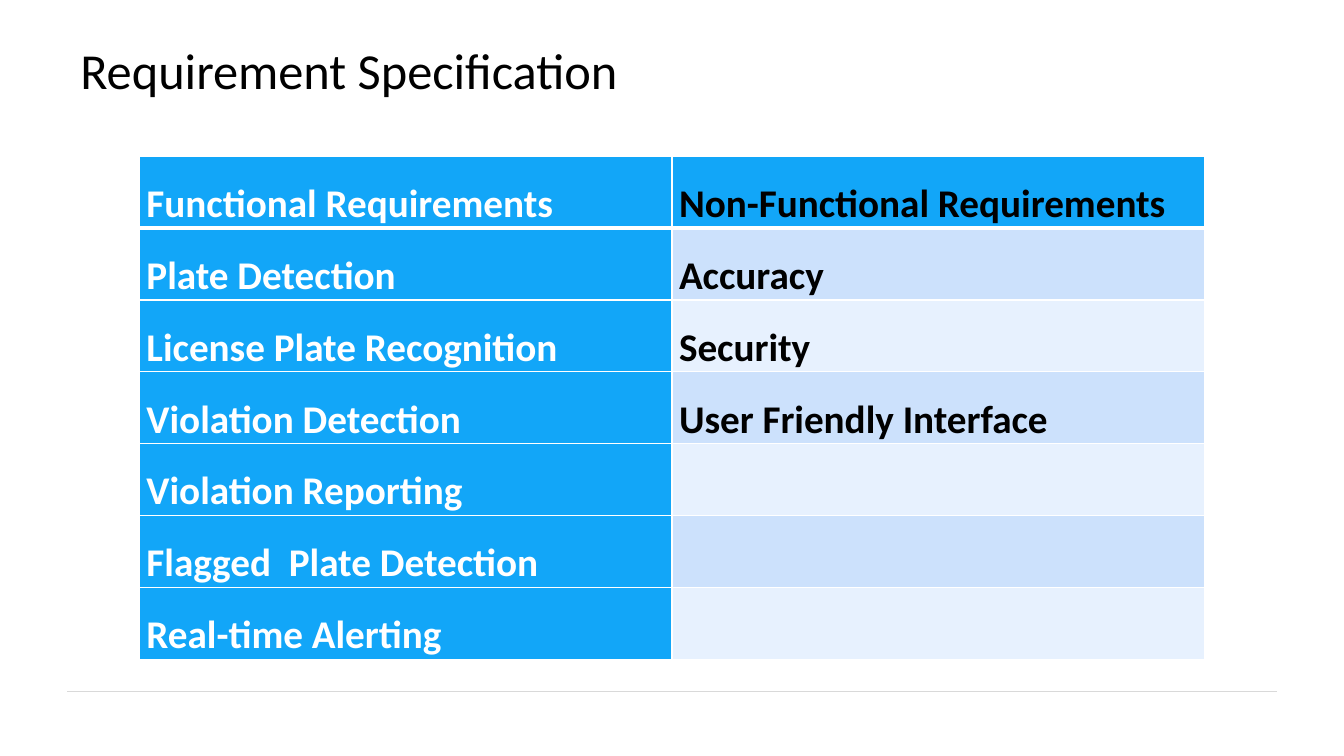
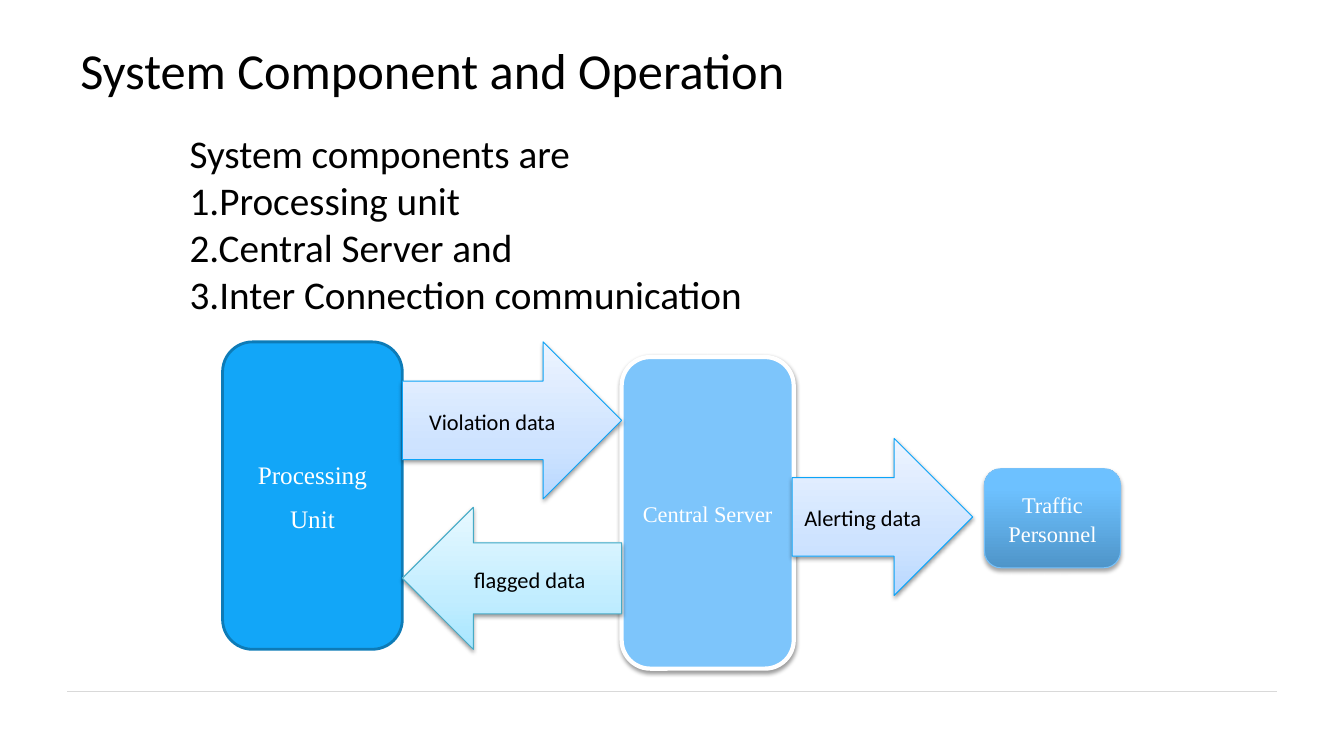
from dataclasses import dataclass

from lxml.etree import SubElement
from pptx import Presentation
from pptx.dml.color import RGBColor
from pptx.enum.shapes import MSO_CONNECTOR, MSO_SHAPE
from pptx.enum.text import MSO_ANCHOR, MSO_AUTO_SIZE, PP_ALIGN
from pptx.oxml.ns import qn
from pptx.util import Inches, Pt


@dataclass(frozen=True)
class Theme:
    # Fonts and type sizes
    sans: str = "Calibri"
    serif: str = "Times New Roman"
    title_size: int = 36
    body_size: int = 28
    unit_size: int = 18
    label_size: int = 16
    # Colours
    black: str = "000000"
    white: str = "FFFFFF"
    rule: str = "D9D9D9"
    accent: str = "12A6F8"
    accent_edge: str = "0D7BB7"
    server: str = "7DC5FB"
    bands: tuple = ("CCE1FC", "E7F1FE")
    # Gradients run from the bottom up: (position in percent, colour)
    personnel: tuple = ((0, "4F95C9"), (80, "6DC1FF"), (100, "6FC1FF"))
    personnel_edge: str = "77C1F9"
    blue_arrow: tuple = ((0, "B9D8FF"), (35, "CEE3FF"), (100, "EDF4FF"))
    blue_edge: str = "0CA4F8"
    cyan_arrow: tuple = ((0, "A7E6FF"), (35, "C1EDFF"), (100, "E7F8FF"))
    cyan_edge: str = "46AAC5"


THEME = Theme()

# Grid: 160 columns by 90 rows of square cells
COLUMNS, ROWS = 160, 90
CELL = Inches(7.5) / ROWS
MARGIN = 8

REQUIREMENTS = (
    ("Functional Requirements", "Non-Functional Requirements"),
    ("Plate Detection", "Accuracy"),
    ("License Plate Recognition", "Security"),
    ("Violation Detection", "User Friendly Interface"),
    ("Violation Reporting", ""),
    ("Flagged  Plate Detection", ""),
    ("Real-time Alerting", ""),
)

COMPONENTS = (
    "System components are",
    "1.Processing unit",
    "2.Central Server and",
    "3.Inter Connection communication",
)


def grid(*cells):
    return [round(cell * CELL) for cell in cells]


def rgb(value):
    return RGBColor.from_string(value)


# Text

def add_run(paragraph, text, size, colour, font=THEME.sans, bold=False):
    run = paragraph.add_run()
    run.text = text
    run.font.name = font
    run.font.size = Pt(size)
    run.font.bold = bold
    run.font.color.rgb = rgb(colour)


def write_lines(frame, lines, size, colour, font=THEME.sans, align=PP_ALIGN.LEFT,
                spacing=1.0, after=0, bold=False):
    for index, line in enumerate(lines):
        paragraph = frame.add_paragraph() if index else frame.paragraphs[0]
        paragraph.alignment = align
        paragraph.line_spacing = spacing
        paragraph.space_before = Pt(0)
        paragraph.space_after = Pt(after)
        add_run(paragraph, line, size, colour, font, bold)


# Fills, shadows and borders

def add_colour(parent, value):
    return SubElement(parent, qn("a:srgbClr"), val=value)


def fill_gradient(shape, stops):
    shape.fill.gradient()
    gradient = shape.element.spPr.find(qn("a:gradFill"))
    stop_list = gradient.find(qn("a:gsLst"))
    for stop in list(stop_list):
        stop_list.remove(stop)
    for position, colour in stops:
        add_colour(SubElement(stop_list, qn("a:gs"), pos=str(position * 1000)), colour)
    gradient.find(qn("a:lin")).set("ang", str(270 * 60000))


def add_shadow(shape, opacity, distance):
    effects = shape.element.spPr.find(qn("a:effectLst"))
    shadow = SubElement(effects, qn("a:outerShdw"), blurRad=str(Pt(3.1)),
                        dist=str(Pt(distance)), dir=str(90 * 60000), rotWithShape="0")
    SubElement(add_colour(shadow, THEME.black), qn("a:alpha"), val=str(opacity * 1000))


def set_borders(cell, **widths):
    properties = cell._tc.get_or_add_tcPr()
    for side in "LRTB":
        border = SubElement(properties, qn(f"a:ln{side}"), w=str(Pt(widths.get(side, 1))))
        add_colour(SubElement(border, qn("a:solidFill")), THEME.white)


# Slide elements

def add_titled_slide(presentation, title):
    slide = presentation.slides.add_slide(presentation.slide_layouts[5])
    rule = slide.shapes.add_connector(
        MSO_CONNECTOR.STRAIGHT, *grid(MARGIN, 82.3, COLUMNS - MARGIN, 82.3))
    rule.line.color.rgb = rgb(THEME.rule)
    rule.line.width = Pt(0.75)
    SubElement(rule._element.spPr, qn("a:effectLst"))

    shape = slide.shapes.title
    shape.left, shape.top, shape.width, shape.height = grid(
        MARGIN, 3.6, COLUMNS - 2 * MARGIN, 9.4)
    frame = shape.text_frame
    frame.auto_size = MSO_AUTO_SIZE.NONE
    frame.word_wrap = True
    frame.vertical_anchor = MSO_ANCHOR.MIDDLE
    frame.margin_left = frame.margin_right = Inches(0.13)
    frame.margin_top = frame.margin_bottom = Inches(0.07)
    write_lines(frame, [title], THEME.title_size, THEME.black)
    return slide


def add_requirements_table(slide, rows, left, top, column_width, row_height):
    table = slide.shapes.add_table(
        len(rows), 2, *grid(left, top, 2 * column_width, len(rows) * row_height)).table
    table.first_row = table.horz_banding = False
    for row_index, texts in enumerate(rows):
        for column_index, text in enumerate(texts):
            cell = table.cell(row_index, column_index)
            set_borders(cell, T=3 if row_index == 1 else 1, B=3 if row_index == 0 else 1)
            is_head = row_index == 0 or column_index == 0
            cell.fill.solid()
            cell.fill.fore_color.rgb = rgb(
                THEME.accent if is_head else THEME.bands[(row_index - 1) % 2])
            cell.margin_left = cell.margin_right = Inches(0.07)
            cell.margin_top = cell.margin_bottom = 0
            if text:
                colour = THEME.black if column_index else THEME.white
                write_lines(cell.text_frame, [text], THEME.body_size, colour,
                            align=PP_ALIGN.JUSTIFY, spacing=1.5, after=8, bold=True)


def add_text(slide, lines, box):
    frame = slide.shapes.add_textbox(*grid(*box)).text_frame
    frame.word_wrap = True
    write_lines(frame, lines, THEME.body_size, THEME.black)


def add_block(slide, kind, box, lines, fill, edge, edge_width=0.75, size=THEME.label_size,
              colour=THEME.white, font=THEME.serif, shadow=None):
    shape = slide.shapes.add_shape(kind, *grid(*box))
    if isinstance(fill, str):
        shape.fill.solid()
        shape.fill.fore_color.rgb = rgb(fill)
    else:
        fill_gradient(shape, fill)
    shape.line.color.rgb = rgb(edge)
    shape.line.width = Pt(edge_width)
    shape.shadow.inherit = False
    if shadow:
        add_shadow(shape, *shadow)
    frame = shape.text_frame
    frame.word_wrap = True
    frame.vertical_anchor = MSO_ANCHOR.MIDDLE
    write_lines(frame, lines, size, colour, font, PP_ALIGN.CENTER, 1.07, 8)


def add_flow_arrow(slide, kind, box, label, fill, edge):
    add_block(slide, kind, box, [label], fill, edge, colour=THEME.black,
              font=THEME.sans, shadow=(38, 1.6))


# Slides

def build_requirements(presentation):
    slide = add_titled_slide(presentation, "Requirement Specification")
    add_requirements_table(slide, REQUIREMENTS, 16.6, 18.6, 63.4, 8.3)


def build_components(presentation):
    slide = add_titled_slide(presentation, "System Component and Operation")
    add_text(slide, COMPONENTS, (21.4, 14.8, 71.8, 23.9))

    # Components
    unit_left, unit_top, unit_width, unit_height = 26.5, 40.7, 21.4, 36.6
    server_left, server_width = 74, 20.5
    rounded = MSO_SHAPE.ROUNDED_RECTANGLE
    add_block(slide, rounded, (server_left, 42.5, server_width, 37.1), ["Central Server"],
              THEME.server, THEME.white, 3, shadow=(38, 1.6))
    add_block(slide, rounded, (117.2, 55.8, 16.2, 11.8), ["Traffic Personnel"],
              THEME.personnel, THEME.personnel_edge, shadow=(35, 1.8))
    add_block(slide, rounded, (unit_left, unit_top, unit_width, unit_height),
              ["Processing", "Unit"], THEME.accent, THEME.accent_edge, 2, THEME.unit_size)

    # Data flows between the components
    flow_left = unit_left + unit_width
    flow_width = server_left - flow_left
    arrow_height, flagged_height = 18.7, 16.9
    right = MSO_SHAPE.RIGHT_ARROW
    add_flow_arrow(slide, right, (flow_left, unit_top, flow_width, arrow_height),
                   "Violation data", THEME.blue_arrow, THEME.blue_edge)
    add_flow_arrow(slide, MSO_SHAPE.LEFT_ARROW,
                   (flow_left, unit_top + unit_height - flagged_height,
                    flow_width, flagged_height),
                   "flagged data", THEME.cyan_arrow, THEME.cyan_edge)
    add_flow_arrow(slide, right,
                   (server_left + server_width - 0.2, 52.2, 21.5, arrow_height),
                   "Alerting data", THEME.blue_arrow, THEME.blue_edge)


def main():
    presentation = Presentation()
    presentation.slide_width, presentation.slide_height = grid(COLUMNS, ROWS)
    build_requirements(presentation)
    build_components(presentation)
    presentation.save("out.pptx")


if __name__ == "__main__":
    main()
